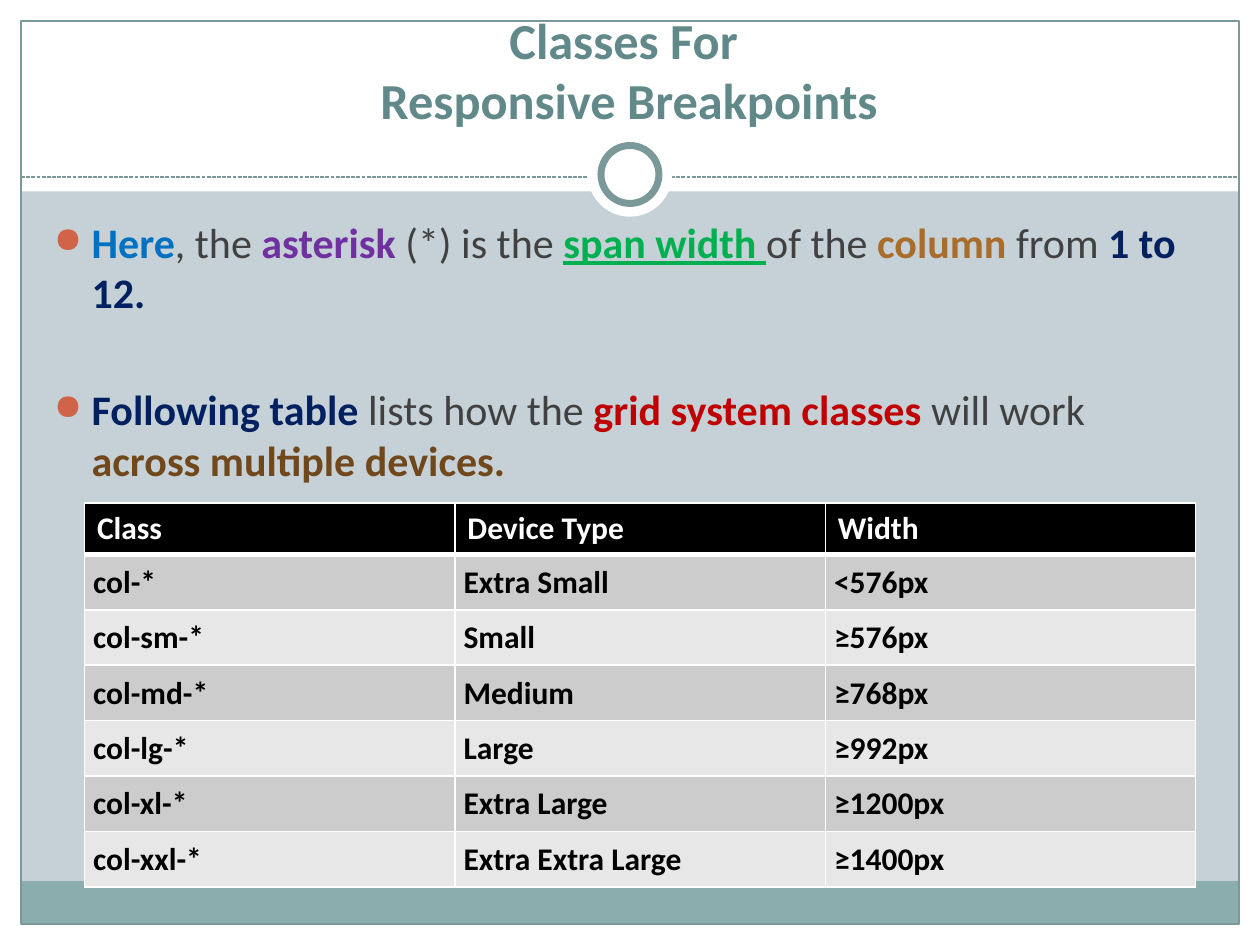
from lxml.etree import SubElement
from pptx import Presentation
from pptx.dml.color import RGBColor
from pptx.enum.dml import MSO_LINE
from pptx.enum.shapes import MSO_CONNECTOR, MSO_SHAPE as SHAPE
from pptx.enum.text import MSO_ANCHOR as ANCHOR, PP_ALIGN as ALIGN
from pptx.oxml.ns import qn
from pptx.util import Inches, Pt

COLOURS = {
    "white": "FFFFFF", "black": "000000", "back": "C5D1D7", "band": "8CADAE",
    "rule": "7C999A", "title": "61898A", "bullet": "D16349", "grey": "414141",
    "blue": "0070C0", "purple": "7030A0", "green": "00B050", "tan": "A96D2B",
    "navy": "002060", "red": "C00000", "brown": "71481C",
    "dark_row": "CCCCCC", "light_row": "E7E7E7",
}
FONT = "Calibri"

# The slide is a grid of 100 columns by 75 rows; boxes are (left, top, width, height)
COLS, ROWS = 100, 75
WIDTH, HEIGHT = Inches(10), Inches(7.5)
EDGE = 1.67

TITLE = ["Classes For ", "\n", "Responsive Breakpoints"]
POINTS = [
    [("Here", "blue"), (", the ", "grey"), ("asterisk", "purple"),
     (" (*) is the ", "grey"), ("span width ", "green"), ("of the ", "grey"),
     ("column", "tan"), (" from ", "grey"), ("1 to 12.", "navy")],
    [("Following table ", "navy"), ("lists how the ", "grey"),
     ("grid system classes ", "red"), ("will work ", "grey"),
     ("across multiple devices.", "brown")],
]
BREAKPOINTS = [
    ("Class", "Device Type", "Width"),
    ("col-*", "Extra Small", "<576px"),
    ("col-sm-*", "Small", "≥576px"),
    ("col-md-*", "Medium", "≥768px"),
    ("col-lg-*", "Large", "≥992px"),
    ("col-xl-*", "Extra Large", "≥1200px"),
    ("col-xxl-*", "Extra Extra Large", "≥1400px"),
]


def rgb(name):
    return RGBColor.from_string(COLOURS[name])


def across(cols):
    return int(WIDTH * cols / COLS)


def down(rows):
    return int(HEIGHT * rows / ROWS)


def emu(box):
    x, y, w, h = box
    return across(x), down(y), across(w), down(h)


def add_text(p, text, size=18, colour="black", bold=True, underline=False):
    if text == "\n":
        p.add_line_break()
        return
    r = p.add_run()
    r.text = text
    font = r.font
    font.name, font.size, font.bold = FONT, Pt(size), bold
    font.underline = underline
    font.color.rgb = rgb(colour)


def add_shape(s, kind, box, fill=None, line=None, weight=0.75):
    sp = s.shapes.add_shape(kind, *emu(box))
    sp.shadow.inherit = False
    if fill:
        sp.fill.solid()
        sp.fill.fore_color.rgb = rgb(fill)
    else:
        sp.fill.background()
    if line:
        sp.line.color.rgb = rgb(line)
        sp.line.width = Pt(weight)
    else:
        sp.line.fill.background()


def add_text_frame(s, box, anchor):
    tf = s.shapes.add_textbox(*emu(box)).text_frame
    tf.word_wrap = True
    tf.vertical_anchor = anchor
    return tf


def add_bullet(p):
    pPr = p._p.get_or_add_pPr()
    pPr.set("marL", str(across(3)))
    pPr.set("indent", str(-across(3)))
    colour = SubElement(pPr, qn("a:buClr"))
    SubElement(colour, qn("a:srgbClr"), val=COLOURS["bullet"])
    SubElement(pPr, qn("a:buSzPct"), val="85000")
    SubElement(pPr, qn("a:buChar"), char="●")


def add_border(cell, side, weight):
    tcPr = cell._tc.get_or_add_tcPr()
    ln = SubElement(tcPr, qn(f"a:ln{side}"), w=str(Pt(weight)))
    fill = SubElement(ln, qn("a:solidFill"))
    SubElement(fill, qn("a:srgbClr"), val=COLOURS["white"])


def draw_frame(s, box, head):
    x, y, w, h = box
    inner = (x + EDGE, y + EDGE, w - 2 * EDGE, h - 2 * EDGE)
    bottom = y + h - EDGE
    # White margins and header
    for strip in [(x, bottom, w, EDGE), (x, y, w, head),
                  (x, y, EDGE, h), (x + w - EDGE, y, EDGE, h)]:
        add_shape(s, SHAPE.RECTANGLE, strip, fill="white")
    # Footer band and outline
    add_shape(s, SHAPE.RECTANGLE, (inner[0], bottom - 3.4, inner[2], 3.4), fill="band")
    add_shape(s, SHAPE.RECTANGLE, inner, line="rule")


def draw_divider(s, box):
    x, y, w, h = box
    # Dashed rule
    level = down(y + h / 2 + 0.2)
    line = s.shapes.add_connector(MSO_CONNECTOR.STRAIGHT, across(x), level,
                                  across(x + w), level)
    line.line.color.rgb = rgb("rule")
    line.line.width = Pt(0.75)
    line.line.dash_style = MSO_LINE.SQUARE_DOT
    SubElement(line._element.spPr, qn("a:effectLst"))
    # Ring over the rule
    for size, outline in [(h, None), (4.6, "rule")]:
        ring = (x + (w - size) / 2, y + (h - size) / 2, size, size)
        add_shape(s, SHAPE.OVAL, ring, fill="white", line=outline, weight=4)


def draw_title(s, box):
    p = add_text_frame(s, box, ANCHOR.BOTTOM).paragraphs[0]
    p.alignment = ALIGN.CENTER
    for text in TITLE:
        add_text(p, text, size=28.8, colour="title")


def draw_points(s, box):
    tf = add_text_frame(s, box, ANCHOR.TOP)
    for i, point in enumerate(POINTS):
        p = tf.add_paragraph() if i else tf.paragraphs[0]
        add_bullet(p)
        if i:
            p.space_before = Pt(38)
        for text, colour in point:
            add_text(p, text, size=24, colour=colour, bold=colour != "grey",
                     underline=colour == "green")


def draw_table(s, box):
    n_rows, n_cols = len(BREAKPOINTS), len(BREAKPOINTS[0])
    table = s.shapes.add_table(n_rows, n_cols, *emu(box)).table
    for column in table.columns:
        column.width = across(box[2] / n_cols)
    for i, values in enumerate(BREAKPOINTS):
        table.rows[i].height = down(4.1)
        fill = ("dark_row" if i % 2 else "light_row") if i else "black"
        for j, text in enumerate(values):
            cell = table.cell(i, j)
            if i:
                cell.margin_left = cell.margin_right = across(0.7)
                cell.margin_top = cell.margin_bottom = down(0.7)
            # Thick rule between header and body
            for side, weight in [("L", 1), ("R", 1), ("T", 3 if i == 1 else 1),
                                 ("B", 1 if i else 3)]:
                add_border(cell, side, weight)
            cell.fill.solid()
            cell.fill.fore_color.rgb = rgb(fill)
            add_text(cell.text_frame.paragraphs[0], text,
                     colour="black" if i else "white")


def main():
    prs = Presentation()
    prs.slide_width, prs.slide_height = WIDTH, HEIGHT
    s = prs.slides.add_slide(prs.slide_layouts[6])
    s.background.fill.solid()
    s.background.fill.fore_color.rgb = rgb("back")

    draw_frame(s, (0, 0, COLS, ROWS), head=15.2)
    draw_divider(s, (EDGE, 10.5, COLS - 2 * EDGE, 6.7))
    draw_title(s, (3.3, 2.5, 93.3, 8.3))
    draw_points(s, (3.3, 16.7, 93, 50))
    draw_table(s, (6.7, 39.9, 88.2, 30.1))
    prs.save("out.pptx")


if __name__ == "__main__":
    main()
